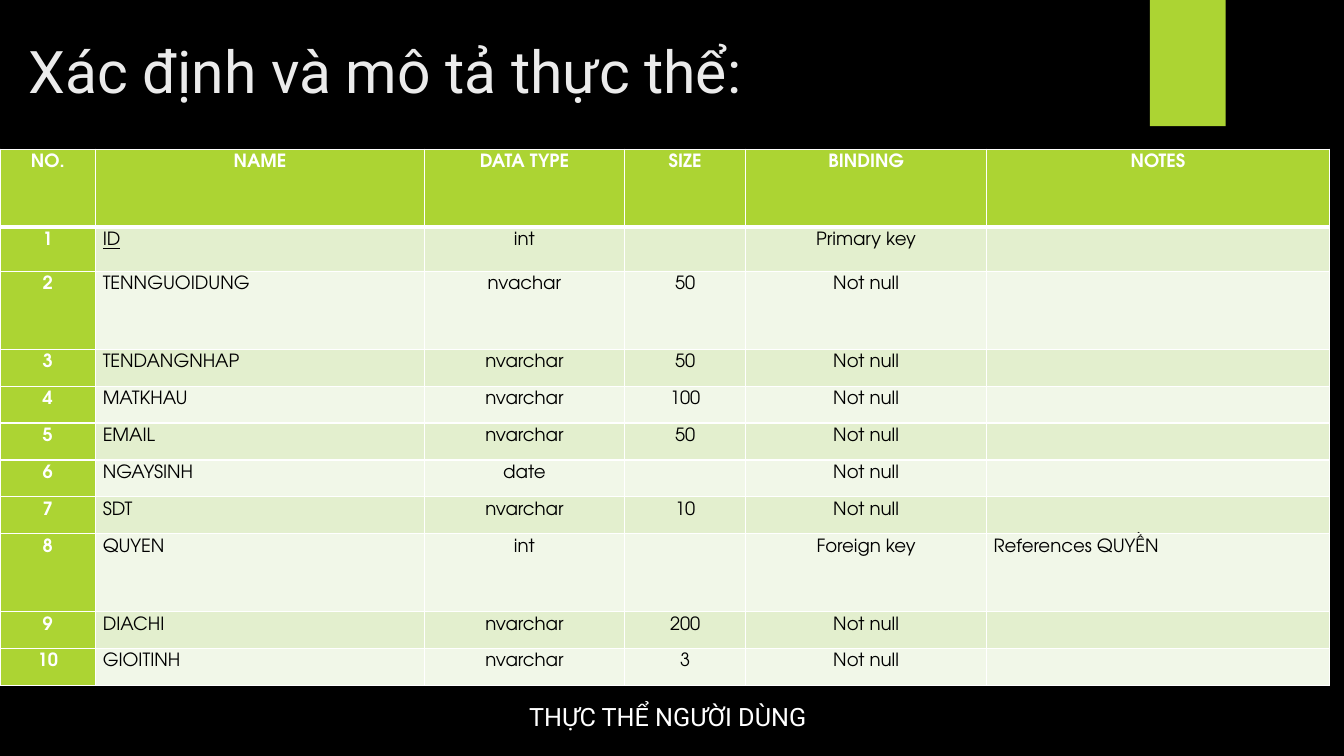
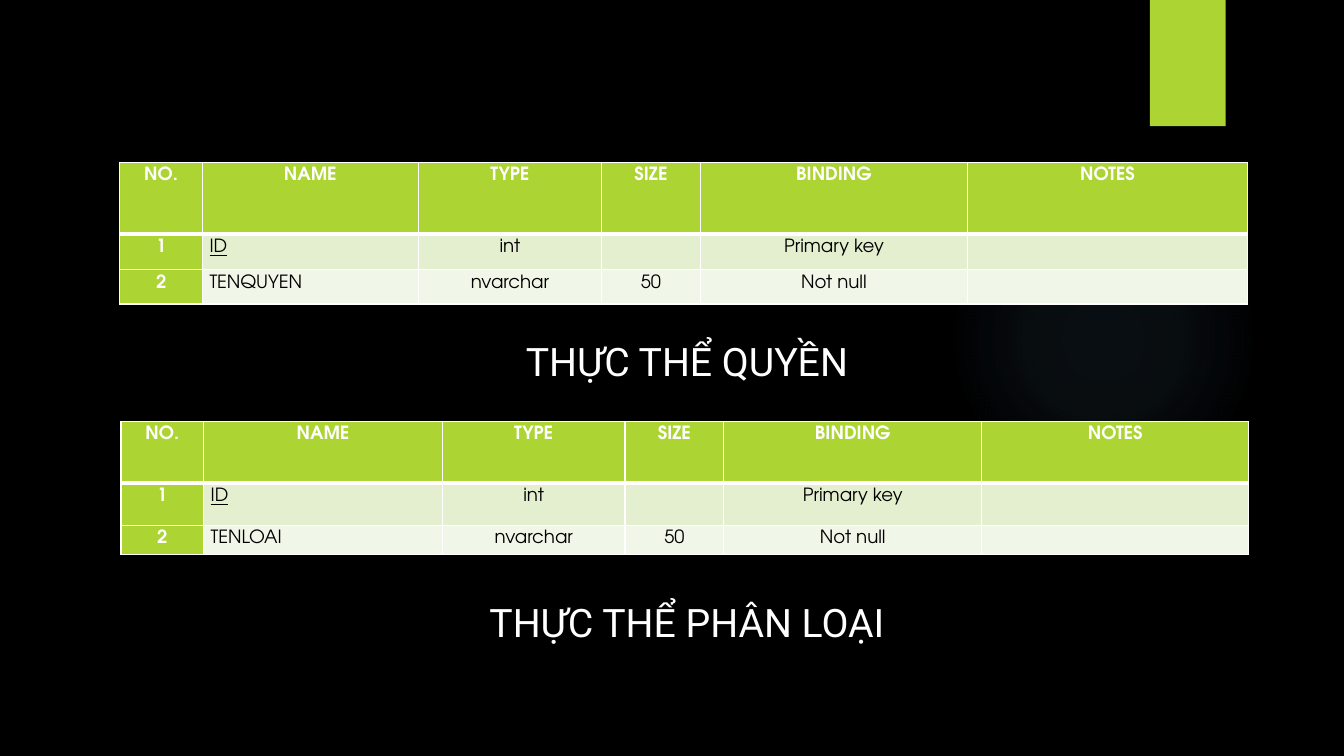
from lxml.etree import SubElement
from pptx import Presentation
from pptx.dml.color import RGBColor
from pptx.enum.shapes import MSO_SHAPE as Shape
from pptx.enum.text import MSO_ANCHOR as Anchor, PP_ALIGN as Align
from pptx.oxml import parse_xml
from pptx.oxml.ns import nsdecls, qn
from pptx.util import Cm, Pt

BLACK, WHITE, TITLE_GREY = "000000", "FFFFFF", "EBEBEB"
GREEN, BAND_DARK, BAND_LIGHT = "ACD433", "E3EFCE", "F1F7E8"
GLOW = "7AC4F0"
GLOW_STOPS = [(0, 7), (36, 6), (69, 0)]
TEXT_FONT, TABLE_FONT = "Roboto", "TeX Gyre Adventor"
TITLE_ONLY, BLANK = 5, 6

ID_ROW = ("ID", "int", "", "Primary key", "")

SLIDES = [
    {
        "title": "Xác định và mô tả thực thể:",
        "captions": [("THỰC THỂ NGƯỜI DÙNG", (10.16, 17.55, 13.34, 1.02), 18)],
        "tables": [
            {
                "origin": (0, 3.76),
                "columns": (2.41, 8.28, 5.05, 3.05, 6.07, 8.64),
                "heights": (1.96, 1.12, 1.96, *[0.93] * 5, 1.96, *[0.93] * 2),
                "header": ("NO.", "NAME", "DATA TYPE", "SIZE", "BINDING", "NOTES"),
                "rows": [
                    ID_ROW,
                    ("TENNGUOIDUNG", "nvachar", "50", "Not null", ""),
                    ("TENDANGNHAP", "nvarchar", "50", "Not null", ""),
                    ("MATKHAU", "nvarchar", "100", "Not null", ""),
                    ("EMAIL", "nvarchar", "50", "Not null", ""),
                    ("NGAYSINH", "date", "", "Not null", ""),
                    ("SDT", "nvarchar", "10", "Not null", ""),
                    ("QUYEN", "int", "", "Foreign key", "References QUYỀN"),
                    ("DIACHI", "nvarchar", "200", "Not null", ""),
                    ("GIOITINH", "nvarchar", "3", "Not null", ""),
                ],
            },
        ],
    },
    {
        "title": None,
        "captions": [
            ("THỰC THỂ QUYỀN", (10.64, 8.38, 13.34, 1.45), 28),
            ("THỰC THỂ PHÂN LOẠI", (10.64, 14.96, 13.34, 1.45), 28),
        ],
        "tables": [
            {
                "origin": (3.02, 4.09),
                "columns": (2.08, 5.44, 4.62, 2.49, 6.73, 7.06),
                "heights": (1.8, 0.91, 0.86),
                "header": ("NO.", "NAME", "TYPE", "SIZE", "BINDING", "NOTES"),
                "rows": [ID_ROW, ("TENQUYEN", "nvarchar", "50", "Not null", "")],
            },
            {
                "origin": (3.05, 10.62),
                "columns": (2.08, 6.02, 4.6, 2.49, 6.5, 6.73),
                "heights": (1.55, 1.07, 0.74),
                "header": ("NO.", "NAME", "TYPE", "SIZE", "BINDING", "NOTES"),
                "rows": [ID_ROW, ("TENLOAI", "nvarchar", "50", "Not null", "")],
            },
        ],
    },
]


def color(value):
    return RGBColor.from_string(value)


def apply(target, **values):
    for name, value in values.items():
        setattr(target, name, value)


def box(left, top, width, height):
    return [Cm(length) for length in (left, top, width, height)]


def write(paragraph, text, fill, **font):
    run = paragraph.add_run()
    run.text = text
    apply(run.font, **font)
    run.font.color.rgb = color(fill)


def add_master_shape(slide, kind, position):
    shape = slide.shapes.add_shape(kind, *box(*position))
    shape.shadow.inherit = False
    shape.line.fill.background()
    shape.fill.solid()
    shape.fill.fore_color.rgb = color(GREEN)
    slide.slide_layout.slide_master.shapes._spTree.append(shape._element)
    return shape


def add_glow(slide):
    glow = add_master_shape(slide, Shape.OVAL, (23.9, 4.65, 7.82, 7.82))
    stops = "".join(
        f'<a:gs pos="{place * 1000}"><a:srgbClr val="{GLOW}">'
        f'<a:alpha val="{alpha * 1000}"/></a:srgbClr></a:gs>'
        for place, alpha in GLOW_STOPS
    )
    gradient = parse_xml(
        f'<a:gradFill {nsdecls("a")}><a:gsLst>{stops}</a:gsLst><a:path path="circle">'
        '<a:fillToRect l="50000" t="50000" r="50000" b="50000"/></a:path></a:gradFill>'
    )
    properties = glow._element.spPr
    properties.replace(properties.find(qn("a:solidFill")), gradient)


def add_title(slide, text):
    title = slide.shapes.title
    apply(title, **dict(zip(("left", "top", "width", "height"), box(0.46, 0.58, 26.14, 2.39))))
    apply(title.text_frame, vertical_anchor=Anchor.MIDDLE, word_wrap=True)
    paragraph = title.text_frame.paragraphs[0]
    paragraph.alignment = Align.LEFT
    write(paragraph, text, TITLE_GREY, name=TEXT_FONT, size=Pt(42))


def add_caption(slide, text, position, size):
    frame = slide.shapes.add_textbox(*box(*position)).text_frame
    frame.word_wrap = True
    paragraph = frame.paragraphs[0]
    paragraph.alignment = Align.CENTER
    write(paragraph, text, WHITE, name=TEXT_FONT, size=Pt(size))


def set_borders(cell, top, bottom):
    properties = cell._tc.get_or_add_tcPr()
    for index, (side, width) in enumerate((("L", 1), ("R", 1), ("T", top), ("B", bottom))):
        properties.insert(index, parse_xml(
            f'<a:ln{side} {nsdecls("a")} w="{Pt(width)}"><a:solidFill>'
            f'<a:srgbClr val="{WHITE}"/></a:solidFill></a:ln{side}>'
        ))


def format_cell(cell, text, row, column):
    heading = row == 0 or column == 0
    left_aligned = row > 0 and column in (1, 5)
    apply(cell, margin_left=Cm(0.18), margin_right=Cm(0.18), margin_top=0, margin_bottom=0)
    cell.fill.solid()
    cell.fill.fore_color.rgb = color(GREEN if heading else BAND_DARK if row % 2 else BAND_LIGHT)
    set_borders(cell, top=3 if row == 1 else 1, bottom=3 if row == 0 else 1)
    paragraph = cell.text_frame.paragraphs[0]
    if not text:
        SubElement(paragraph._p, qn("a:endParaRPr"), sz="1300")
        return
    apply(paragraph, alignment=Align.LEFT if left_aligned else Align.CENTER,
          line_spacing=1.3, space_before=Pt(6), space_after=Pt(3))
    write(paragraph, text, WHITE if heading else BLACK, name=TABLE_FONT, size=Pt(13),
          bold=heading, underline=text == "ID")


def add_entity_table(slide, origin, columns, heights, header, rows):
    position = box(*origin, sum(columns), sum(heights))
    table = slide.shapes.add_table(len(heights), len(columns), *position).table
    for column, width in zip(table.columns, columns):
        column.width = Cm(width)
    for row, height in zip(table.rows, heights):
        row.height = Cm(height)
    lines = [header] + [(str(number), *values) for number, values in enumerate(rows, 1)]
    for row, line in enumerate(lines):
        for column, text in enumerate(line):
            format_cell(table.cell(row, column), text, row, column)


presentation = Presentation()
apply(presentation, slide_width=Cm(33.87), slide_height=Cm(19.05))
background = presentation.slide_master.background.fill
background.solid()
background.fore_color.rgb = color(BLACK)

for content in SLIDES:
    layout = presentation.slide_layouts[TITLE_ONLY if content["title"] else BLANK]
    slide = presentation.slides.add_slide(layout)
    if content["title"]:
        add_title(slide, content["title"])
    for caption in content["captions"]:
        add_caption(slide, *caption)
    for table in content["tables"]:
        add_entity_table(slide, **table)

first_slide = presentation.slides[0]
add_glow(first_slide)
add_master_shape(first_slide, Shape.RECTANGLE, (28.98, 0, 1.91, 3.18))
presentation.save("out.pptx")
